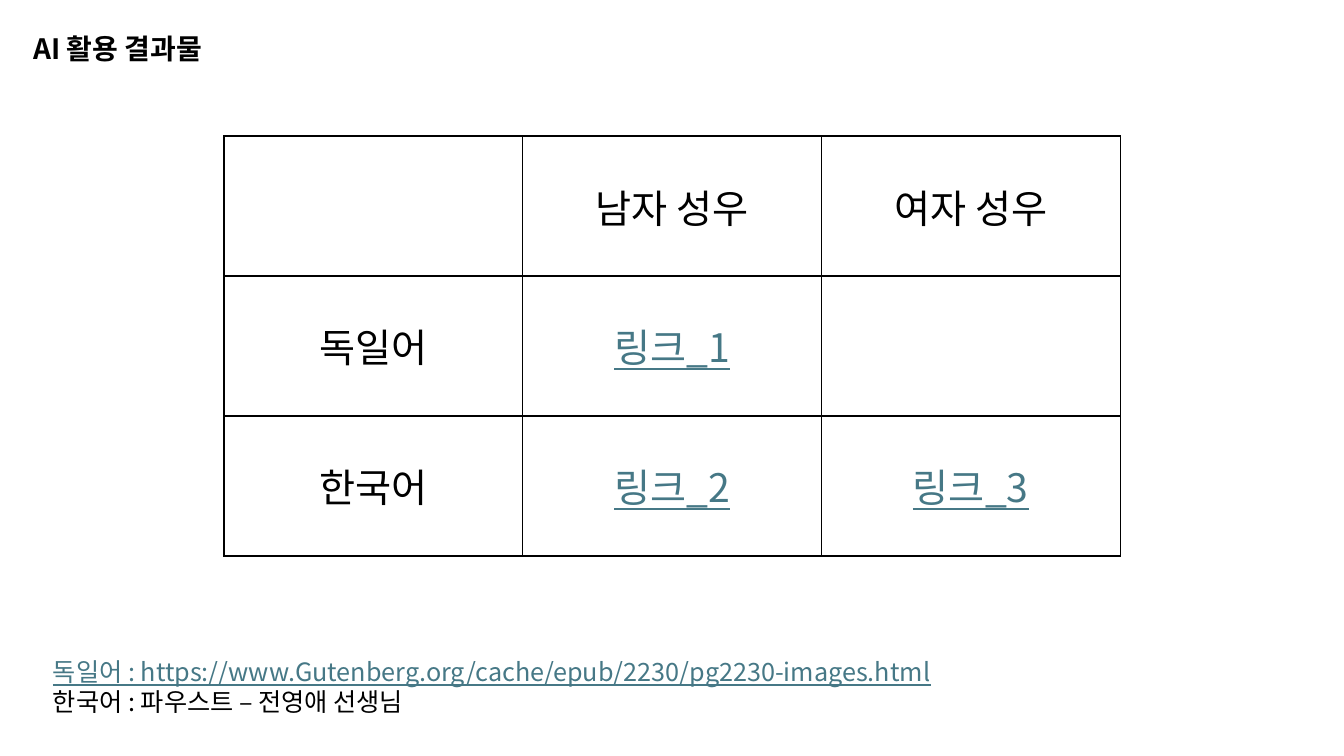
from lxml.etree import SubElement
from pptx import Presentation
from pptx.dml.color import RGBColor
from pptx.enum.text import MSO_ANCHOR, MSO_AUTO_SIZE, PP_ALIGN
from pptx.oxml.ns import qn
from pptx.util import Inches, Pt

# Content
TITLE = "AI 활용 결과물"
VOICES = [
    ["", "남자 성우", "여자 성우"],
    ["독일어", "링크_1", ""],
    ["한국어", "링크_2", "링크_3"],
]
SOURCES = [
    ("독일어 : https://www.Gutenberg.org/cache/epub/2230/pg2230-images.html", True),
    ("한국어 : 파우스트 – 전영애 선생님", False),
]
FONT, BLACK, TEAL = "Noto Sans CJK KR", "000000", "467886"

# Layout in px
SCALE = Inches(1) / 100.8
TITLE_BOX = (23, 26, 1277, 44)
TABLE_BOX = (224, 136, 896, 420)
SOURCE_BOX = (43, 651, 999, 72)


def px(*sizes):
    return [round(size * SCALE) for size in sizes]


def color(code):
    return RGBColor.from_string(code)


def write(para, text, size=18, bold=False, link=False, align=PP_ALIGN.LEFT):
    para.alignment = align
    run = para.add_run()
    run.text = text
    font = run.font
    font.size, font.bold, font.underline = Pt(size), bold, link
    font.color.rgb = color(TEAL if link else BLACK)
    font.name = FONT
    SubElement(run._r.get_or_add_rPr(), qn("a:ea")).set("typeface", FONT)


def border(cell, width=1):
    props = cell._tc.get_or_add_tcPr()
    for side in ("lnL", "lnR", "lnT", "lnB"):
        line = SubElement(props, qn(f"a:{side}"), w=str(Pt(width)))
        fill = SubElement(line, qn("a:solidFill"))
        SubElement(fill, qn("a:srgbClr"), val=BLACK)


deck = Presentation()
deck.slide_width, deck.slide_height = Inches(13.33), Inches(7.5)
slide = deck.slides.add_slide(deck.slide_layouts[5])

# Title
title = slide.shapes.title
title.left, title.top, title.width, title.height = px(*TITLE_BOX)
frame = title.text_frame
frame.auto_size = MSO_AUTO_SIZE.NONE
frame.vertical_anchor = MSO_ANCHOR.TOP
write(frame.paragraphs[0], TITLE, size=20, bold=True)

# Table of voice recordings
rows, cols = len(VOICES), len(VOICES[0])
table = slide.shapes.add_table(rows, cols, *px(*TABLE_BOX)).table
table.first_row = table.horz_banding = False
for r, texts in enumerate(VOICES):
    for c, text in enumerate(texts):
        cell = table.cell(r, c)
        border(cell)
        cell.fill.background()
        cell.vertical_anchor = MSO_ANCHOR.MIDDLE
        if text:
            write(cell.text_frame.paragraphs[0], text, size=28,
                  link=text.startswith("링크"), align=PP_ALIGN.CENTER)

# Sources of the texts
frame = slide.shapes.add_textbox(*px(*SOURCE_BOX)).text_frame
frame.word_wrap = True
for i, (text, link) in enumerate(SOURCES):
    para = frame.add_paragraph() if i else frame.paragraphs[0]
    write(para, text, link=link)

deck.save("out.pptx")
